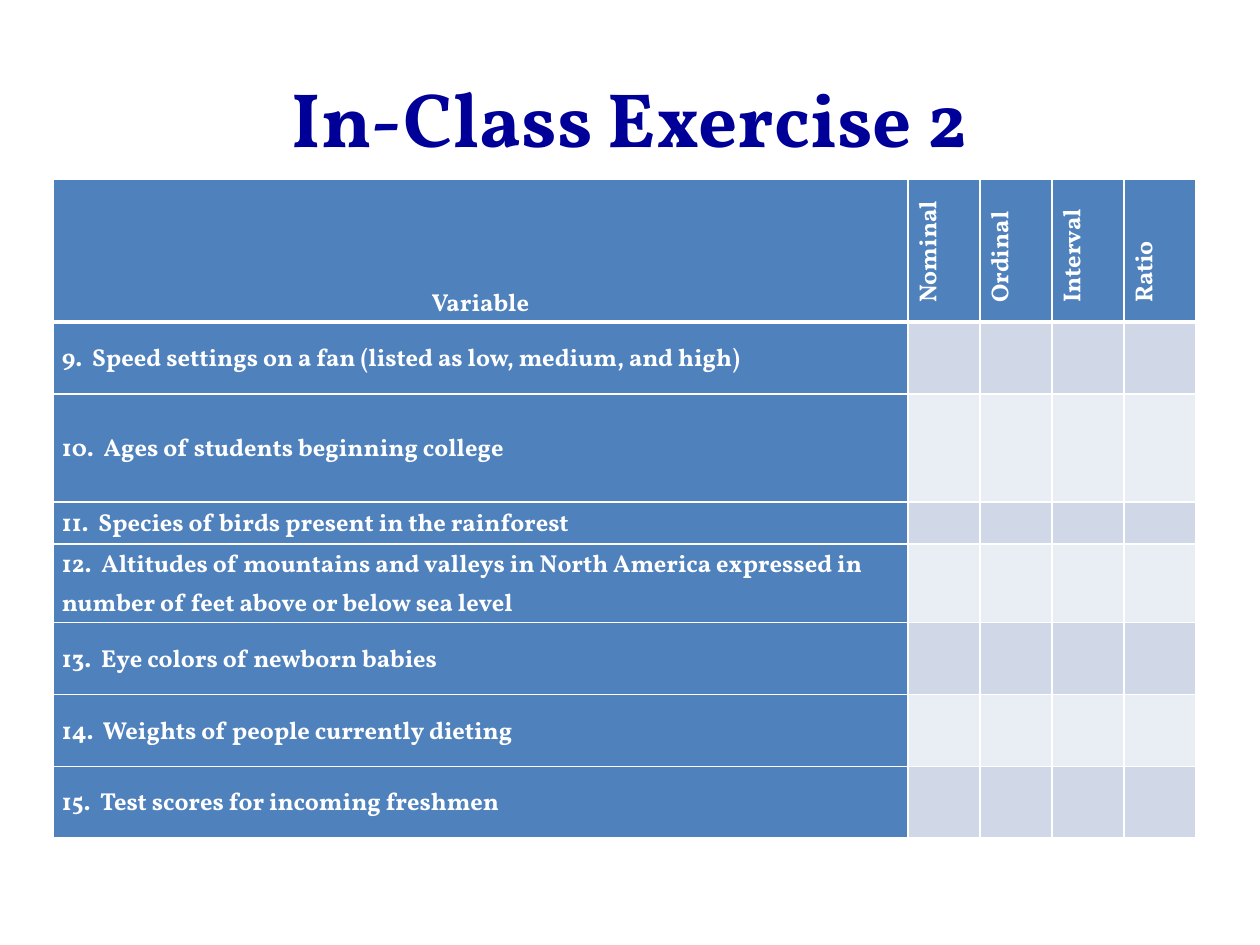
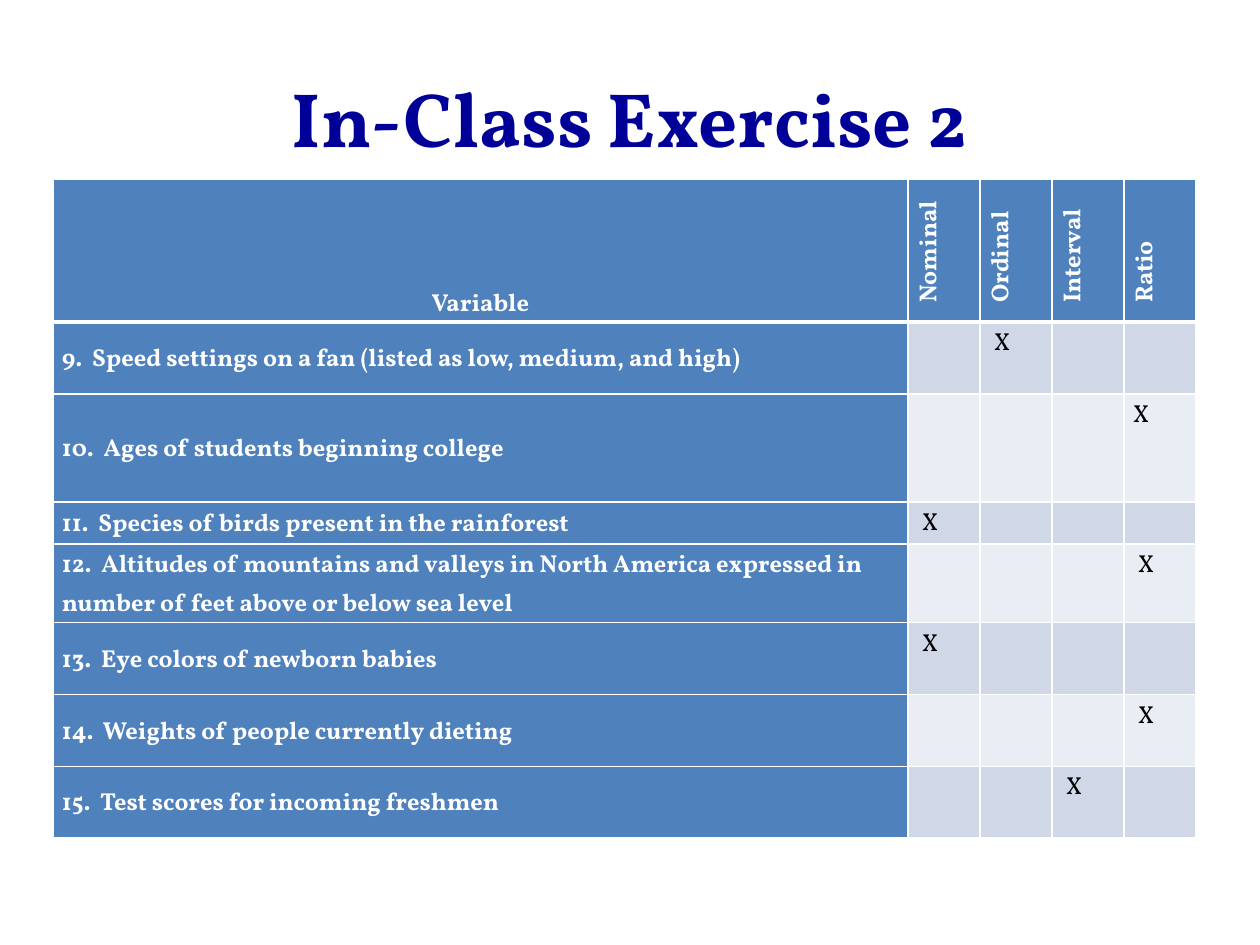
"""Build two slides of a measurement-level exercise: the questions, then the answers."""
from lxml.etree import SubElement
from pptx import Presentation
from pptx.dml.color import RGBColor
from pptx.enum.text import MSO_ANCHOR as ANCHOR, MSO_AUTO_SIZE as AUTO_SIZE, PP_ALIGN as ALIGN
from pptx.oxml.ns import qn
from pptx.util import Pt

PX = 914400 // 126
FONT = "Vollkorn"
COLORS = {"title": "000099", "head": "4F81BD", "odd": "D0D8E8", "even": "E9EDF4",
          "white": "FFFFFF", "mark": "000000"}
LEVELS = ["Nominal", "Ordinal", "Interval", "Ratio"]
VARIABLES = [
    ("9.  Speed settings on a fan (listed as low, medium, and high)", "Ordinal", 72),
    ("10.  Ages of students beginning college", "Ratio", 108),
    ("11.  Species of birds present in the rainforest", "Nominal", 42),
    ("12.  Altitudes of mountains and valleys in North America expressed in "
     "number of feet above or below sea level", "Ratio", 78),
    ("13.  Eye colors of newborn babies", "Nominal", 72),
    ("14.  Weights of people currently dieting", "Ratio", 72),
    ("15.  Test scores for incoming freshmen", "Interval", 71),
]
COLUMN_WIDTHS = [855] + [72] * len(LEVELS)
ROW_HEIGHTS = [143] + [height for _, _, height in VARIABLES]


def write(paragraph, text, size, color, bold):
    run = paragraph.add_run()
    run.text = text
    run.font.name = FONT
    run.font.size = Pt(size)
    run.font.bold = bold
    run.font.color.rgb = RGBColor.from_string(COLORS[color])


def style_cell(cell, fill, top, bottom):
    properties = cell._tc.get_or_add_tcPr()
    for side, width in {"L": 1, "R": 1, "T": top, "B": bottom}.items():
        line = SubElement(properties, qn(f"a:ln{side}"), w=str(Pt(width)))
        paint = SubElement(line, qn("a:solidFill"))
        SubElement(paint, qn("a:srgbClr"), val=COLORS["white"])
    cell.fill.solid()
    cell.fill.fore_color.rgb = RGBColor.from_string(COLORS[fill])
    cell.margin_left = cell.margin_right = 9 * PX
    cell.margin_top = cell.margin_bottom = 0


prs = Presentation()
prs.slide_width, prs.slide_height = 1260 * PX, 945 * PX

for show_answers in (False, True):
    slide = prs.slides.add_slide(prs.slide_layouts[5])
    title = slide.shapes.title
    title.left, title.top, title.width, title.height = 63 * PX, 38 * PX, 1134 * PX, 158 * PX
    title.text_frame.auto_size = AUTO_SIZE.NONE
    title.text_frame.vertical_anchor = ANCHOR.MIDDLE
    heading = title.text_frame.paragraphs[0]
    heading.alignment = ALIGN.CENTER
    write(heading, "In-Class Exercise 2", 44, "title", True)

    table = slide.shapes.add_table(
        len(ROW_HEIGHTS), len(COLUMN_WIDTHS), 53 * PX, 179 * PX,
        sum(COLUMN_WIDTHS) * PX, sum(ROW_HEIGHTS) * PX).table
    table.first_col = True
    for column, width in zip(table.columns, COLUMN_WIDTHS):
        column.width = width * PX
    for row, height in zip(table.rows, ROW_HEIGHTS):
        row.height = height * PX

    for col, label in enumerate(["Variable"] + LEVELS):
        cell = table.cell(0, col)
        style_cell(cell, "head", 1, 3)
        paragraph = cell.text_frame.paragraphs[0]
        paragraph.line_spacing = 1.15
        if col == 0:
            cell.vertical_anchor = ANCHOR.BOTTOM
            paragraph.alignment = ALIGN.CENTER
        else:
            cell._tc.tcPr.set("vert", "vert270")
            paragraph._p.get_or_add_pPr().set("marL", str(10 * PX))
        write(paragraph, label, 14, "white", True)

    for row, (variable, answer, _) in enumerate(VARIABLES, 1):
        top = 3 if row == 1 else 1
        cell = table.cell(row, 0)
        style_cell(cell, "head", top, 1)
        cell.vertical_anchor = ANCHOR.MIDDLE
        paragraph = cell.text_frame.paragraphs[0]
        paragraph.line_spacing = 1.15
        write(paragraph, variable, 14, "white", True)
        for col, level in enumerate(LEVELS, 1):
            cell = table.cell(row, col)
            style_cell(cell, "odd" if row % 2 else "even", top, 1)
            if show_answers and level == answer:
                cell.margin_left = (9 if row == 2 else 14) * PX
                paragraph = cell.text_frame.paragraphs[0]
                paragraph.line_spacing = 1.15
                write(paragraph, "X", 14, "mark", False)

prs.save("out.pptx")
